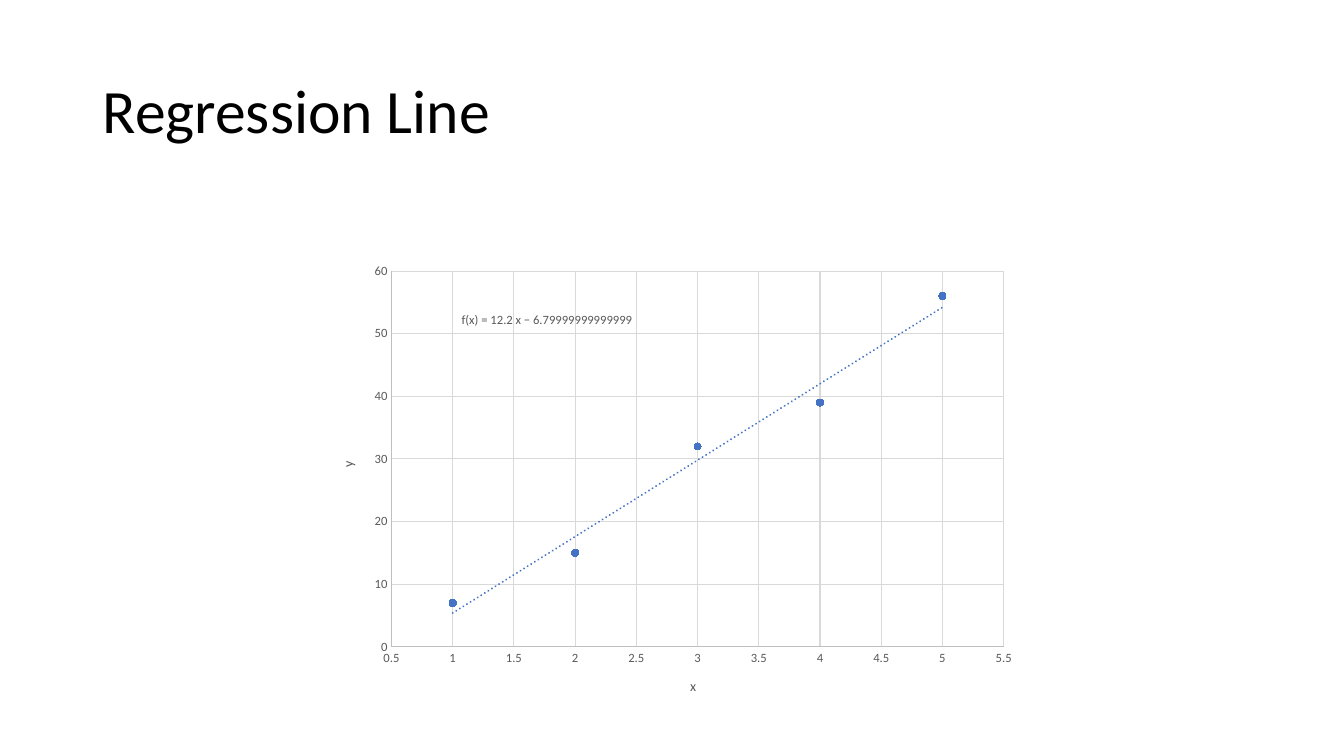
from pptx import Presentation
from pptx.chart.data import XyChartData
from pptx.dml.color import RGBColor
from pptx.enum import chart as charts, text
from pptx.oxml import parse_xml
from pptx.util import Inches, Pt

# Content
TITLE = "Regression Line"
EQUATION = "f(x) = 12.2 x − 6.79999999999999"
POINTS = [(1, 7), (2, 15), (3, 32), (4, 39), (5, 56)]
X_AXIS = ("x", 0.5, 5.5, 0.5)  # title, minimum, maximum, step
Y_AXIS = ("y", 0, 60, 10)

# Style
FONT = "Calibri"
BLACK = RGBColor(0x00, 0x00, 0x00)
GREY = RGBColor(0x59, 0x59, 0x59)
AXIS_GREY = RGBColor(0xBF, 0xBF, 0xBF)
GRID_GREY = RGBColor(0xD9, 0xD9, 0xD9)
BLUE = RGBColor(0x44, 0x72, 0xC4)
NS = ('xmlns:c="http://schemas.openxmlformats.org/drawingml/2006/chart" '
      'xmlns:a="http://schemas.openxmlformats.org/drawingml/2006/main"')

TRENDLINE = f"""<c:trendline {NS}>
  <c:spPr><a:ln w="19050" cap="rnd"><a:solidFill><a:srgbClr val="{BLUE}"/></a:solidFill>
    <a:prstDash val="sysDot"/></a:ln></c:spPr>
  <c:trendlineType val="linear"/><c:dispRSqr val="0"/><c:dispEq val="0"/>
</c:trendline>"""

PLOT_LAYOUT = f"""<c:layout {NS}><c:manualLayout><c:layoutTarget val="inner"/>
  <c:xMode val="edge"/><c:yMode val="edge"/><c:x val="0.103"/><c:y val="0.035"/>
  <c:w val="0.865"/><c:h val="0.816"/></c:manualLayout></c:layout>"""


def set_font(font, size, color):
    font.name, font.size, font.bold = FONT, Pt(size), False
    font.color.rgb = color


def set_line(line, color):
    line.color.rgb = color
    line.width = Pt(0.75)


def add_text(page, words, place, size, color):
    box = page.shapes.add_textbox(*map(Inches, place))
    frame = box.text_frame
    frame.word_wrap = True
    frame.vertical_anchor = text.MSO_ANCHOR.MIDDLE
    para = frame.paragraphs[0]
    para.text = words
    para.line_spacing = 0.9
    set_font(para.font, size, color)


def style_axis(axis, title, low, high, step):
    axis.minimum_scale, axis.maximum_scale, axis.major_unit = low, high, step
    axis.major_tick_mark = axis.minor_tick_mark = charts.XL_TICK_MARK.NONE
    axis.has_major_gridlines = True
    set_line(axis.major_gridlines.format.line, GRID_GREY)
    set_line(axis.format.line, AXIS_GREY)
    set_font(axis.tick_labels.font, 9, GREY)
    axis.tick_labels.number_format = "General"
    axis.tick_labels.number_format_is_linked = False
    axis.crosses = charts.XL_AXIS_CROSSES.MINIMUM
    para = axis.axis_title.text_frame.paragraphs[0]
    para.text = title
    set_font(para.font, 10, GREY)


deck = Presentation()
deck.slide_width, deck.slide_height = Inches(13.33), Inches(7.5)
page = deck.slides.add_slide(deck.slide_layouts[6])

# Title
add_text(page, TITLE, (0.92, 0.4, 11.5, 1.45), 44, BLACK)

# Scatter chart
data = XyChartData()
points = data.add_series("Series 1")
for x, y in POINTS:
    points.add_data_point(x, y)
chart = page.shapes.add_chart(
    charts.XL_CHART_TYPE.XY_SCATTER, Inches(3.16), Inches(2.53),
    Inches(7.02), Inches(4.57), data).chart
chart.has_legend = chart.has_title = False
set_font(chart.font, 10, BLACK)
style_axis(chart.category_axis, *X_AXIS)
style_axis(chart.value_axis, *Y_AXIS)

# Markers
plot = chart.plots[0]
plot.vary_by_categories = False
series = plot.series[0]
series.smooth = False
series.format.line.fill.background()
series.marker.style = charts.XL_MARKER_STYLE.CIRCLE
series.marker.size = 5
series.marker.format.fill.solid()
series.marker.format.fill.fore_color.rgb = BLUE
set_line(series.marker.format.line, BLUE)

# Regression line, and the plot's place in the chart
series._element.find("{*}xVal").addprevious(parse_xml(TRENDLINE))
plot_area = chart._chartSpace.find(".//{*}plotArea")
for layout in plot_area.findall("{*}layout"):
    plot_area.remove(layout)
plot_area.insert(0, parse_xml(PLOT_LAYOUT))

# Equation of the line
add_text(page, EQUATION, (4.48, 3.03, 2.2, 0.3), 9, GREY)

deck.save("out.pptx")
